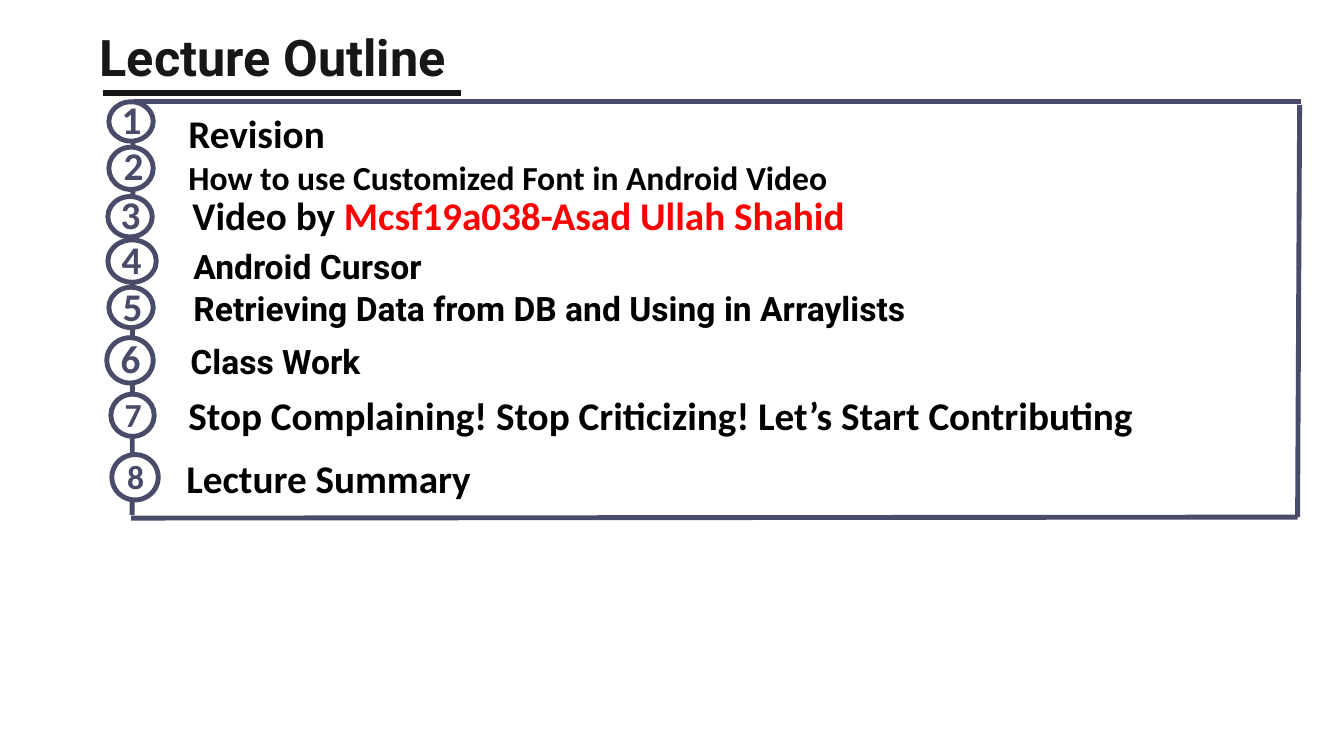
"""Build the lecture outline slide with its numbered list and frame."""
from dataclasses import dataclass

from lxml import etree
from pptx import Presentation
from pptx.dml.color import RGBColor
from pptx.enum.shapes import MSO_CONNECTOR, MSO_SHAPE
from pptx.enum.text import MSO_AUTO_SIZE, PP_ALIGN
from pptx.oxml.ns import qn
from pptx.util import Inches, Pt

STRAIGHT = MSO_CONNECTOR.STRAIGHT
OVAL = MSO_SHAPE.OVAL
GROW = MSO_AUTO_SIZE.SHAPE_TO_FIT_TEXT
LEFT, CENTER, JUSTIFY = PP_ALIGN.LEFT, PP_ALIGN.CENTER, PP_ALIGN.JUSTIFY


@dataclass
class Theme:
    slate = RGBColor(0x49, 0x4B, 0x69)
    ink = RGBColor(0x18, 0x17, 0x17)
    black = RGBColor(0, 0, 0)
    red = RGBColor(0xFF, 0, 0)
    white = RGBColor(0xFF, 0xFF, 0xFF)
    body = "Calibri"
    head = "Roboto"
    title = 36
    large = 28
    small = 24
    stroke = 3.5
    rule = 4.5


theme = Theme()
deck = Presentation()
deck.slide_width, deck.slide_height = Inches(13.33), Inches(7.5)
slide = deck.slides.add_slide(deck.slide_layouts[6])
shapes = slide.shapes


def add_line(start, end, color, width):
    line = shapes.add_connector(STRAIGHT, *map(Inches, start + end))
    line.line.color.rgb = color
    line.line.width = Pt(width)
    etree.SubElement(line._element.spPr, qn("a:effectLst"))


def add_text(area, parts, font, size, align=LEFT, spacing=None, inset=0.1):
    box = shapes.add_textbox(*map(Inches, area))
    frame = box.text_frame
    frame.word_wrap = True
    frame.auto_size = GROW
    frame.margin_left = frame.margin_right = Inches(inset)
    para = frame.paragraphs[0]
    para.alignment = align
    para.line_spacing = spacing
    for text, color in parts:
        run = para.add_run()
        run.text = text
        run.font.name = font
        run.font.size = Pt(size)
        run.font.bold = True
        run.font.color.rgb = color


add_text((0.89, 0.21, 4.66, 0.67), [("Lecture Outline", theme.ink)],
         theme.head, theme.title, JUSTIFY)
add_line((1.02, 0.92), (4.57, 0.92), theme.ink, theme.rule)

edges = [
    ((1.31, 5.11), (1.32, 0.99)),
    ((12.9, 1.01), (1.33, 1.01)),
    ((12.87, 5.13), (12.89, 1.04)),
    ((12.87, 5.13), (1.3, 5.14)),
]
for start, end in edges:
    add_line(start, end, theme.slate, theme.stroke)

badges = [
    ((1.08, 1.01, 0.44, 0.39), (0.94, 0.9, 0.73, 0.57), theme.large),
    ((1.08, 1.46, 0.44, 0.42), (0.96, 1.35, 0.73, 0.57), theme.large),
    ((1.07, 1.95, 0.44, 0.4), (0.93, 1.84, 0.73, 0.57), theme.large),
    ((1.07, 2.38, 0.48, 0.42), (0.91, 2.29, 0.79, 0.57), theme.large),
    ((1.08, 2.85, 0.44, 0.4), (0.95, 2.75, 0.73, 0.57), theme.large),
    ((1.06, 3.35, 0.46, 0.45), (0.91, 3.27, 0.77, 0.57), theme.large),
    ((1.1, 3.91, 0.43, 0.42), (0.96, 3.86, 0.72, 0.5), theme.small),
    ((1.11, 4.51, 0.46, 0.45), (0.96, 4.47, 0.77, 0.5), theme.small),
]
for number, (ring, area, size) in enumerate(badges, 1):
    badge = shapes.add_shape(OVAL, *map(Inches, ring))
    badge.shadow.inherit = False
    badge.fill.solid()
    badge.fill.fore_color.rgb = theme.white
    badge.line.color.rgb = theme.slate
    badge.line.width = Pt(theme.stroke)
    add_text(area, [(str(number), theme.slate)], theme.body, size, CENTER,
             inset=0.12)

topics = [
    ((1.77, 1, 1.57, 0.58), "Revision",
     theme.body, theme.large, LEFT, 1.07),
    ((1.77, 1.51, 11.15, 0.5), "How to use Customized Font in Android Video",
     theme.body, theme.small, LEFT, None),
    ((1.82, 2.36, 10.18, 0.51), "Android Cursor",
     theme.head, theme.small, JUSTIFY, 1.07),
    ((1.82, 2.78, 9.66, 0.51), "Retrieving Data from DB and Using in Arraylists",
     theme.head, theme.small, JUSTIFY, 1.07),
    ((1.79, 3.3, 9.66, 0.51), "Class Work",
     theme.head, theme.small, LEFT, 1.07),
    ((1.77, 3.8, 10.26, 0.58),
     "Stop Complaining! Stop Criticizing! Let’s Start Contributing",
     theme.body, theme.large, JUSTIFY, 1.07),
    ((1.75, 4.43, 10.26, 0.58), "Lecture Summary",
     theme.body, theme.large, JUSTIFY, 1.07),
]
for area, text, font, size, align, spacing in topics:
    add_text(area, [(text, theme.black)], font, size, align, spacing)

credit = [("Video by ", theme.black),
          ("Mcsf19a038-Asad Ullah Shahid", theme.red)]
add_text((1.81, 1.85, 10.18, 0.57), credit, theme.body, theme.large)

deck.save("out.pptx")
